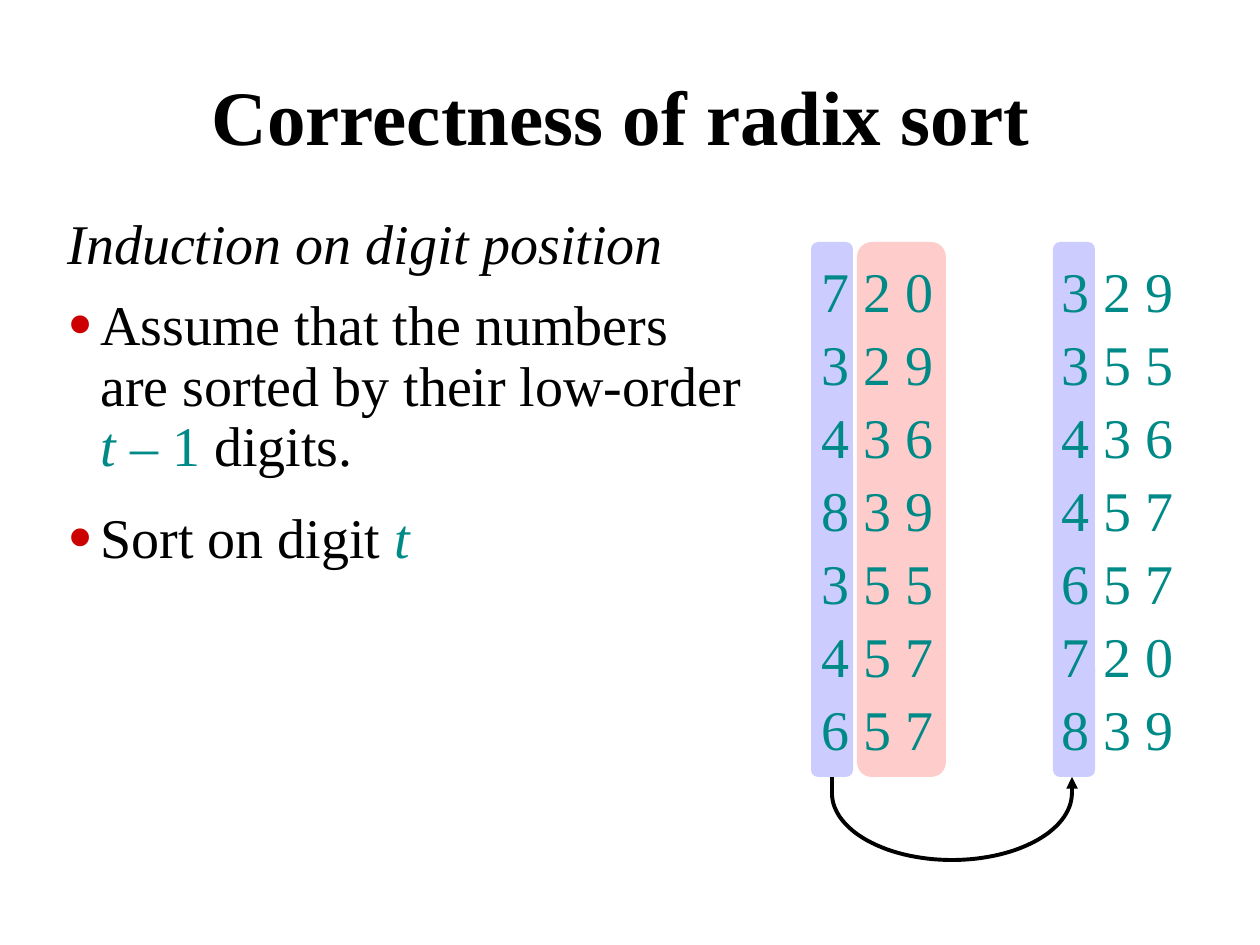
"""Build the slide on the correctness of radix sort."""
from dataclasses import dataclass
from math import cos, pi, sin

from lxml import etree
from pptx import Presentation
from pptx.dml.color import RGBColor
from pptx.enum.shapes import MSO_CONNECTOR, MSO_SHAPE
from pptx.enum.text import MSO_ANCHOR, MSO_AUTO_SIZE, PP_ALIGN
from pptx.oxml.ns import qn
from pptx.util import Emu, Pt

STRAIGHT = MSO_CONNECTOR.STRAIGHT
ROUNDED = MSO_SHAPE.ROUNDED_RECTANGLE
MIDDLE = MSO_ANCHOR.MIDDLE
LEFT, CENTER = PP_ALIGN.LEFT, PP_ALIGN.CENTER
FIT_SHAPE, FIXED = MSO_AUTO_SIZE.SHAPE_TO_FIT_TEXT, MSO_AUTO_SIZE.NONE
PX = 914400 / 126


@dataclass(frozen=True)
class Theme:
    font: str = "Times New Roman"
    title_size: int = 44
    body_size: int = 32
    line_width: float = 2.25
    ink: str = "000000"
    accent: str = "008A87"
    bullet: str = "CC0000"
    current: str = "CCCCFF"
    sorted: str = "FFCCCC"


theme = Theme()


def px(*lengths):
    return [Emu(round(length * PX)) for length in lengths]


def style(span, size, color, bold=False, italic=False):
    span.font.name = theme.font
    span.font.size = Pt(size)
    span.font.color.rgb = RGBColor.from_string(color)
    span.font.bold = bold
    span.font.italic = italic


deck = Presentation()
deck.slide_width, deck.slide_height = px(1260, 945)
page = deck.slides.add_slide(deck.slide_layouts[5])
shapes = page.shapes

title = shapes.title
title.left, title.top, title.width, title.height = px(199, 42, 1040, 158)
title.text_frame.text = "Correctness of radix sort"
title.text_frame.vertical_anchor = MIDDLE
title.text_frame.auto_size = FIXED
title_para = title.text_frame.paragraphs[0]
title_para.alignment = LEFT
title_para.line_spacing = 0.9
style(title_para.runs[0], theme.title_size, theme.ink, bold=True)

# Each span is text, colour, italic; each paragraph is bulleted flag, spans.
body_boxes = [
    (210, 276, [
        (False, [("Induction on digit position", theme.ink, True)]),
        (True, [
            ("Assume that the numbers are sorted by their low-order ", theme.ink, False),
            ("t ", theme.accent, True),
            ("– 1", theme.accent, False),
            (" digits.", theme.ink, False),
        ]),
    ]),
    (504, 73, [
        (True, [("Sort on digit ", theme.ink, False), ("t", theme.accent, True)]),
    ]),
]
for top, height, paragraphs in body_boxes:
    box = shapes.add_textbox(*px(55, top, 702, height))
    frame = box.text_frame
    frame.word_wrap = True
    frame.auto_size = FIT_SHAPE
    for index, (bulleted, spans) in enumerate(paragraphs):
        para = frame.add_paragraph() if index else frame.paragraphs[0]
        properties = para._p.get_or_add_pPr()
        indent = px(33)[0]
        properties.set("marL", str(indent))
        properties.set("indent", str(-indent))
        if bulleted:
            color = etree.SubElement(properties, qn("a:buClr"))
            etree.SubElement(color, qn("a:srgbClr"), val=theme.bullet)
            etree.SubElement(properties, qn("a:buSzPct"), val="133000")
            etree.SubElement(properties, qn("a:buFont"), typeface=theme.font)
            etree.SubElement(properties, qn("a:buChar"), char="•")
        para.line_spacing = 0.9
        if index:
            para.space_before = Pt(11.9)
        for text, color, italic in spans:
            span = para.add_run()
            span.text = text
            style(span, theme.body_size, color, italic=italic)

bands = []
for left, width, color in [
    (811, 42, theme.current),
    (1053, 42, theme.current),
    (857, 89, theme.sorted),
]:
    band = shapes.add_shape(ROUNDED, *px(left, 242, width, 535))
    band.shadow.inherit = False
    band.fill.solid()
    band.fill.fore_color.rgb = RGBColor.from_string(color)
    band.line.fill.background()
    bands.append(band)

numbers = ["720", "329", "436", "839", "355", "457", "657"]
for left, column in [(809, numbers), (1049, sorted(numbers))]:
    for row, number in enumerate(column):
        box = shapes.add_textbox(*px(left, 250 + 73 * row, 137, 81))
        frame = box.text_frame
        frame.word_wrap = False
        frame.auto_size = FIT_SHAPE
        frame.text = " ".join(number)
        para = frame.paragraphs[0]
        para.alignment = CENTER
        style(para.runs[0], theme.body_size, theme.accent)

center_x, center_y, radius_x, radius_y, steps = 952, 793, 120, 67, 60
angles = [pi * step / steps for step in range(steps + 1)]
points = [
    tuple(px(center_x - radius_x * cos(angle), center_y + radius_y * sin(angle)))
    for angle in angles
]
outline = shapes.build_freeform(*points[0])
outline.add_line_segments(points[1:], close=False)
arc = outline.convert_to_shape()
arc.shadow.inherit = False
arc.fill.background()

start = shapes.add_connector(STRAIGHT, *px(832, 777, 832, 795))
start.begin_connect(bands[0], 2)
arrow = shapes.add_connector(STRAIGHT, *px(1072, 795, 1072, 777))
for stroke in (arc, start, arrow):
    stroke.line.color.rgb = RGBColor.from_string(theme.ink)
    stroke.line.width = Pt(theme.line_width)
for connector in (start, arrow):
    etree.SubElement(connector._element.spPr, qn("a:effectLst"))
etree.SubElement(arrow.line._get_or_add_ln(), qn("a:tailEnd"), type="triangle")

deck.save("out.pptx")
